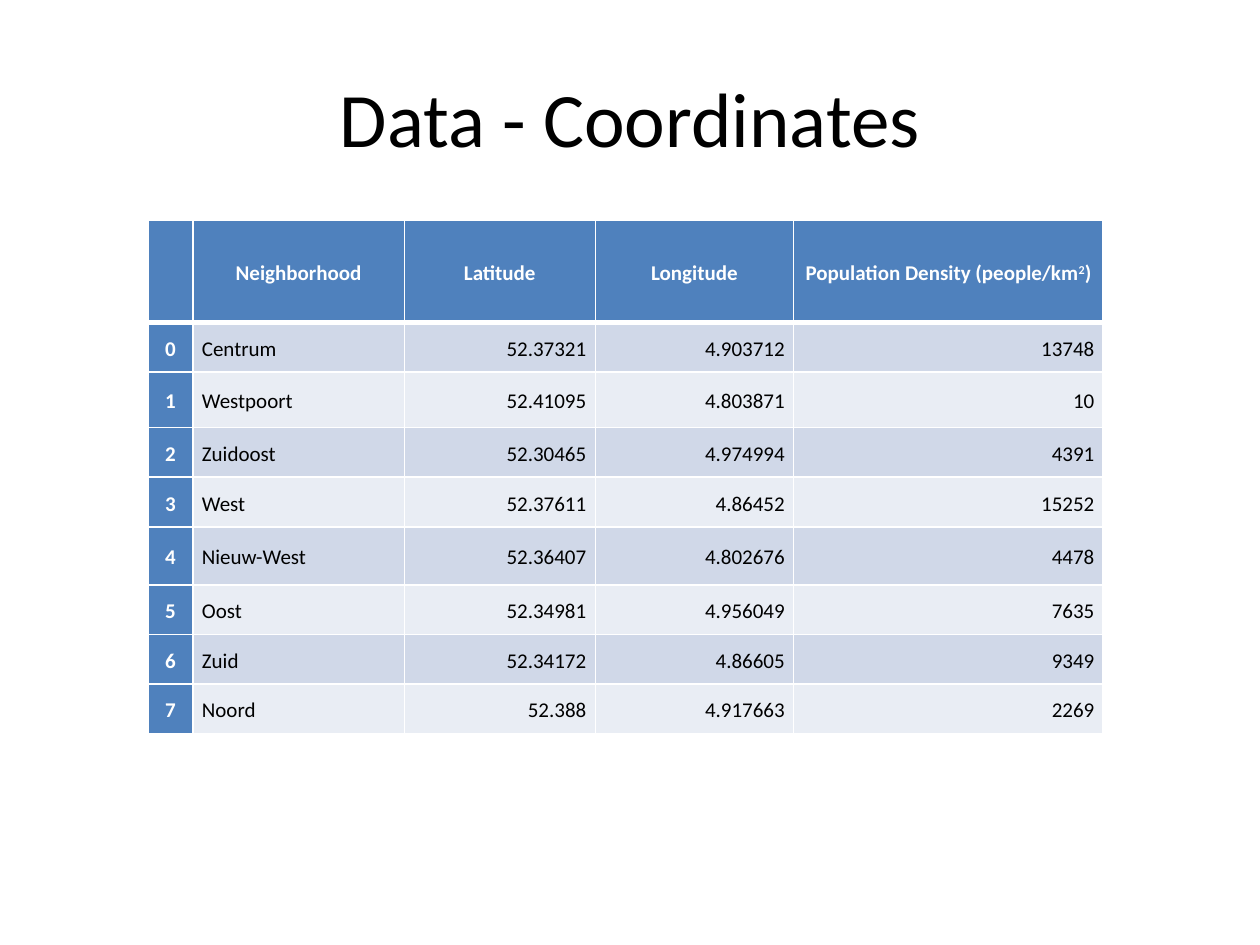
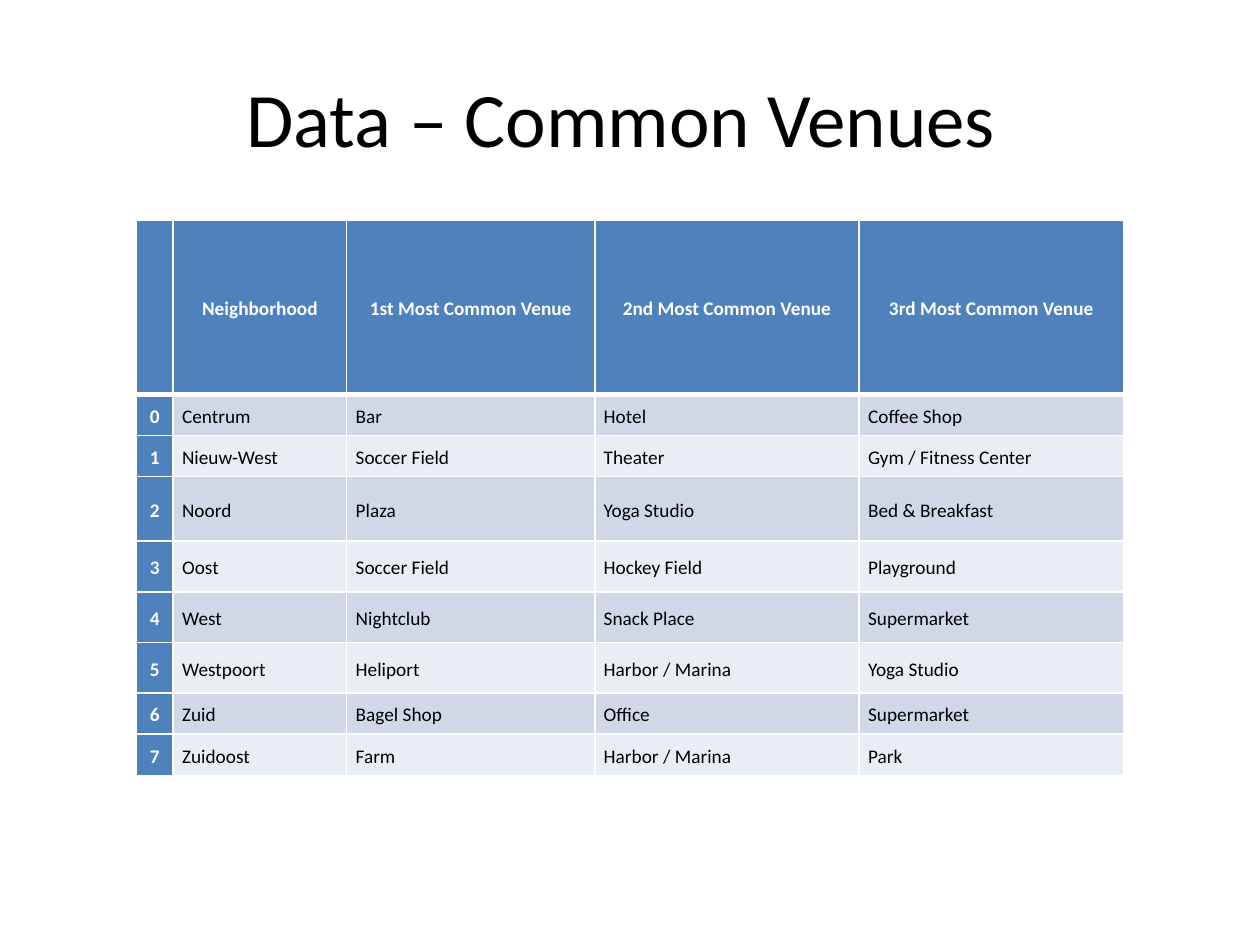
from dataclasses import dataclass

from lxml.etree import SubElement
from pptx import Presentation
from pptx.dml.color import RGBColor
from pptx.enum.text import MSO_ANCHOR as Anchor, PP_ALIGN as Align
from pptx.oxml.ns import qn
from pptx.util import Cm, Pt


@dataclass(frozen=True)
class Theme:
    font: str = "Calibri"
    title_size: float = 44
    text: str = "000000"
    white: str = "FFFFFF"
    header: str = "4F81BD"
    bands: tuple[str, str] = ("D0D8E8", "E9EDF4")
    thin_border: float = 1
    header_border: float = 3


@dataclass(frozen=True)
class TableSlide:
    """Lengths in centimetres; the row number column is added when drawn."""
    title: str
    left: float
    column_widths: list[float]
    row_heights: list[float]
    text_size: float
    value_align: Align
    headings: list[str]
    records: list[tuple[str, ...]]


THEME = Theme()
TABLE_TOP = 4.45

# Slide contents
COORDINATES = TableSlide(
    title="Data - Coordinates",
    left=2.98,
    column_widths=[0.91, 4.26, 3.85, 4.0, 6.24],
    row_heights=[2.05, 1.0, 1.12, 1.0, 1.0, 1.17, 1.0, 1.0, 1.0],
    text_size=12,
    value_align=Align.RIGHT,
    headings=["Neighborhood", "Latitude", "Longitude",
              "Population Density (people/km^2^)"],
    records=[
        ("Centrum", "52.37321", "4.903712", "13748"),
        ("Westpoort", "52.41095", "4.803871", "10"),
        ("Zuidoost", "52.30465", "4.974994", "4391"),
        ("West", "52.37611", "4.86452", "15252"),
        ("Nieuw-West", "52.36407", "4.802676", "4478"),
        ("Oost", "52.34981", "4.956049", "7635"),
        ("Zuid", "52.34172", "4.86605", "9349"),
        ("Noord", "52.388", "4.917663", "2269"),
    ],
)
VENUES = TableSlide(
    title="Data – Common Venues ",
    left=2.75,
    column_widths=[0.74, 3.5, 5.0, 5.33, 5.33],
    row_heights=[3.5, 0.83, 0.83, 1.3, 1.02, 1.02, 1.02, 0.83, 0.83],
    text_size=11,
    value_align=Align.LEFT,
    headings=["Neighborhood"] + [f"{rank} Most Common Venue"
                                 for rank in ("1st", "2nd", "3rd")],
    records=[
        ("Centrum", "Bar", "Hotel", "Coffee Shop"),
        ("Nieuw-West", "Soccer Field", "Theater", "Gym / Fitness Center"),
        ("Noord", "Plaza", "Yoga Studio", "Bed & Breakfast"),
        ("Oost", "Soccer Field", "Hockey Field", "Playground"),
        ("West", "Nightclub", "Snack Place", "Supermarket"),
        ("Westpoort", "Heliport", "Harbor / Marina", "Yoga Studio"),
        ("Zuid", "Bagel Shop", "Office", "Supermarket"),
        ("Zuidoost", "Farm", "Harbor / Marina", "Park"),
    ],
)


def write_text(text_frame, text: str, *, size: float, color: str = THEME.text,
               bold: bool = False, align: Align = Align.LEFT,
               line_spacing: float = 1.0) -> None:
    """Fill the first paragraph; text between ^ marks is superscript."""
    paragraph = text_frame.paragraphs[0]
    paragraph.alignment = align
    paragraph.line_spacing = line_spacing
    for index, part in enumerate(text.split("^")):
        run = paragraph.add_run()
        run.text = part
        run.font.name = THEME.font
        run.font.size = Pt(size)
        run.font.bold = bold
        run.font.color.rgb = RGBColor.from_string(color)
        if index % 2:
            run._r.get_or_add_rPr().set("baseline", "30000")


def add_title(slide, title: str) -> None:
    box = slide.shapes.add_textbox(Cm(1.27), Cm(0.76), Cm(22.86), Cm(3.18))
    box.text_frame.word_wrap = True
    box.text_frame.vertical_anchor = Anchor.MIDDLE
    write_text(box.text_frame, title, size=THEME.title_size, align=Align.CENTER)


def set_borders(cell, top: float, bottom: float) -> None:
    properties = cell._tc.get_or_add_tcPr()
    widths = {"L": THEME.thin_border, "R": THEME.thin_border,
              "T": top, "B": bottom}
    for side, width in widths.items():
        line = SubElement(properties, qn(f"a:ln{side}"), w=str(Pt(width)))
        fill = SubElement(line, qn("a:solidFill"))
        SubElement(fill, qn("a:srgbClr"), val=THEME.white)


def style_cell(cell, row: int, column: int) -> None:
    """Colour header row and number column, band the rest."""
    set_borders(cell,
                top=THEME.header_border if row == 1 else THEME.thin_border,
                bottom=THEME.header_border if row == 0 else THEME.thin_border)
    is_header = row == 0 or column == 0
    color = THEME.header if is_header else THEME.bands[(row - 1) % 2]
    cell.fill.solid()
    cell.fill.fore_color.rgb = RGBColor.from_string(color)
    cell.vertical_anchor = Anchor.MIDDLE
    cell.margin_left = cell.margin_right = Cm(0.18)
    cell.margin_top = cell.margin_bottom = Cm(0)


def add_data_table(slide, content: TableSlide) -> None:
    rows = [("", *content.headings)]
    rows += [(str(number), *record)
             for number, record in enumerate(content.records)]
    table = slide.shapes.add_table(
        len(rows), len(content.column_widths), Cm(content.left), Cm(TABLE_TOP),
        Cm(sum(content.column_widths)), Cm(sum(content.row_heights))).table
    table.first_row = table.horz_banding = False
    for column, width in zip(table.columns, content.column_widths):
        column.width = Cm(width)
    for table_row, height in zip(table.rows, content.row_heights):
        table_row.height = Cm(height)

    for row, values in enumerate(rows):
        for column, value in enumerate(values):
            cell = table.cell(row, column)
            style_cell(cell, row, column)
            if not value:
                continue
            is_header = row == 0 or column == 0
            body_align = Align.LEFT if column == 1 else content.value_align
            write_text(cell.text_frame, value, size=content.text_size,
                       color=THEME.white if is_header else THEME.text,
                       bold=is_header, line_spacing=1.15,
                       align=Align.CENTER if is_header else body_align)


def main() -> None:
    presentation = Presentation()
    presentation.slide_width = Cm(25.4)
    presentation.slide_height = Cm(19.05)
    blank_layout = presentation.slide_layouts[6]
    for content in (COORDINATES, VENUES):
        slide = presentation.slides.add_slide(blank_layout)
        add_title(slide, content.title)
        add_data_table(slide, content)
    presentation.save("out.pptx")


if __name__ == "__main__":
    main()
